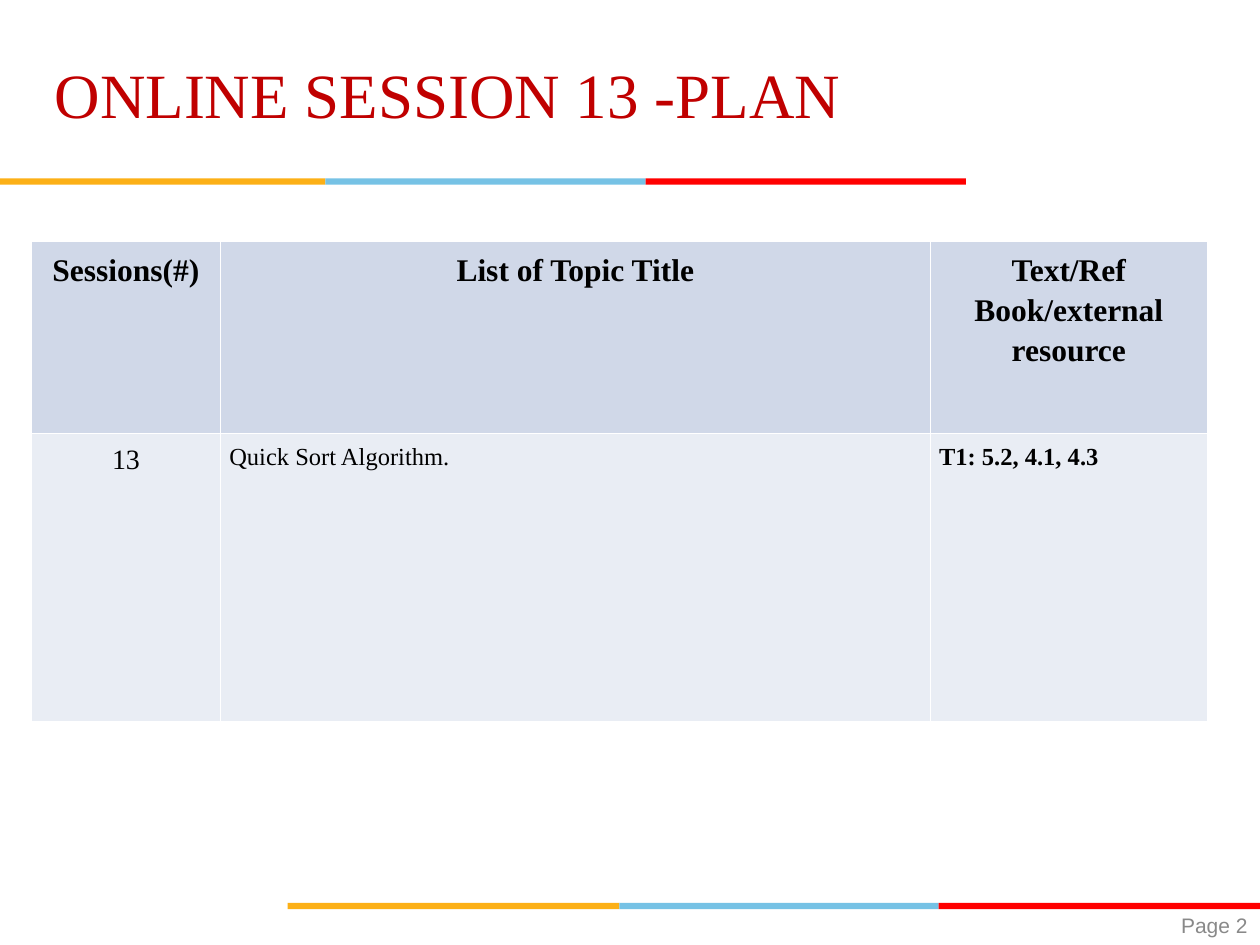
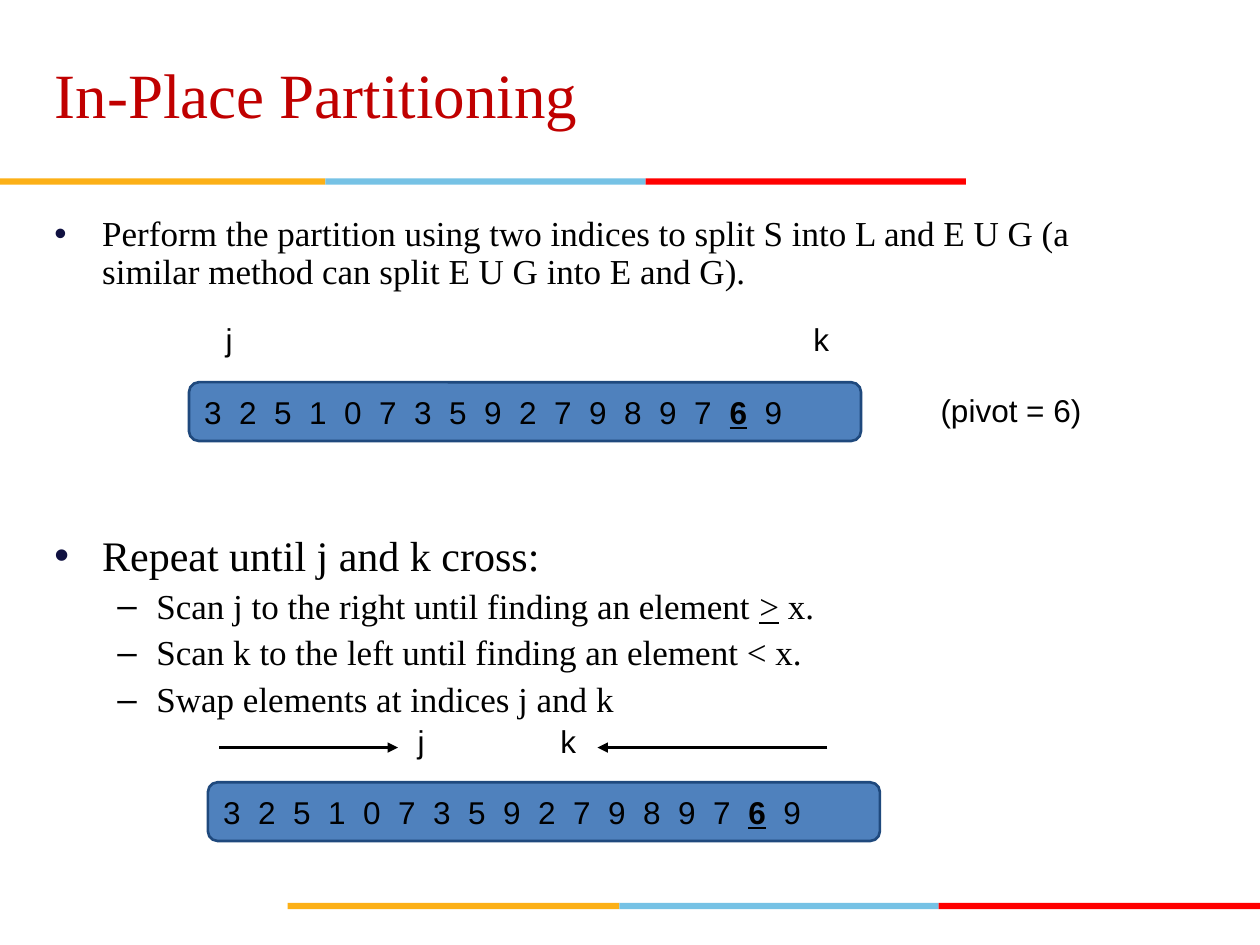
from lxml.etree import SubElement as add_element
from pptx import Presentation
from pptx.dml.color import RGBColor
from pptx.enum.shapes import MSO_CONNECTOR as Connector, MSO_SHAPE as Shape
from pptx.enum.text import MSO_ANCHOR as Anchor, MSO_AUTO_SIZE as AutoSize, PP_ALIGN as Align
from pptx.oxml.ns import qn
from pptx.util import Inches, Pt

# Shared style
SERIF, SANS = "Times New Roman", "Arial"
BLACK, WHITE, TITLE_RED, GREY = "000000", "FFFFFF", "C00000", "898989"
BAND_COLORS = ["FCB017", "76C2E5", "FF0000"]
HEADER_FILL, ROW_FILL = "D0D8E8", "E9EDF4"
ARRAY_FILL, ARRAY_LINE = "4F81BD", "1F497D"
BULLET_BLUE = "101141"
rgb = RGBColor.from_string

# The slide is a grid of 120 columns by 90 rows
deck = Presentation()
deck.slide_width, deck.slide_height = Inches(10), Inches(7.5)
UNIT = deck.slide_width / 120


def grid(*cells):
    return [round(cell * UNIT) for cell in cells]


def write(para, text, size, font=SANS, color=BLACK, bold=False, bold_marked=False):
    """Fill a paragraph; text between underscores is underlined."""
    for index, part in enumerate(text.split("_")):
        marked = index % 2 == 1
        span = para.add_run()
        span.text = part
        span.font.size, span.font.name = Pt(size), font
        span.font.color.rgb = rgb(color)
        span.font.bold = bold or (marked and bold_marked)
        span.font.underline = marked


# Titles and coloured bands on both slides
BANDS = [(17, [0, 31, 61.5, 92]), (86, [27.4, 59, 89.4, 120])]
pages = []
for heading in ["ONLINE SESSION 13 -PLAN", "In-Place Partitioning"]:
    page = deck.slides.add_slide(deck.slide_layouts[5])
    pages.append(page)
    for row, edges in BANDS:
        for left, right, color in zip(edges, edges[1:], BAND_COLORS):
            band = page.shapes.add_shape(
                Shape.RECTANGLE, *grid(left, row, right - left, 0.6))
            band.shadow.inherit = False
            band.fill.solid()
            band.fill.fore_color.rgb = rgb(color)
            band.line.fill.background()
    title = page.shapes.title
    title.left, title.top, title.width, title.height = grid(4, 2, 83, 15)
    frame = title.text_frame
    frame.auto_size, frame.word_wrap = AutoSize.NONE, True
    frame.vertical_anchor = Anchor.MIDDLE
    para = frame.paragraphs[0]
    para.alignment, para.line_spacing = Align.LEFT, Pt(36)
    write(para, heading, 36, SERIF, TITLE_RED)

plan_page, partition_page = pages

# Session plan table: text, size, bold, alignment
PLAN = [
    [("Sessions(#)", 18, True, Align.CENTER),
     ("List of Topic Title", 18, True, Align.CENTER),
     ("Text/Ref Book/external resource", 18, True, Align.CENTER)],
    [("13", 16, False, Align.CENTER),
     ("Quick Sort Algorithm.", 14, False, Align.LEFT),
     ("T1: 5.2, 4.1, 4.3", 14, True, Align.LEFT)],
]
COLUMN_WIDTHS, ROW_HEIGHTS = [18, 67.6, 26.4], [18.25, 27.5]
table = plan_page.shapes.add_table(
    2, 3, *grid(3, 23, sum(COLUMN_WIDTHS), sum(ROW_HEIGHTS))).table
table.first_row = table.horz_banding = False
for column, width in zip(table.columns, grid(*COLUMN_WIDTHS)):
    column.width = width
for row, height in zip(table.rows, grid(*ROW_HEIGHTS)):
    row.height = height

for row, entries, fill in zip(table.rows, PLAN, [HEADER_FILL, ROW_FILL]):
    for cell, (text, size, bold, alignment) in zip(row.cells, entries):
        cell.margin_left = cell.margin_right = Inches(0.07)
        para = cell.text_frame.paragraphs[0]
        para.alignment, para.line_spacing = alignment, 1.15
        write(para, text, size, SERIF, bold=bold)
        # Borders come before the fill in the cell's XML
        properties = cell._tc.get_or_add_tcPr()
        for side in ["a:lnL", "a:lnR", "a:lnT", "a:lnB"]:
            border = add_element(properties, qn(side), w=str(Pt(0.45)))
            solid = add_element(border, qn("a:solidFill"))
            add_element(solid, qn("a:srgbClr"), val=WHITE)
        cell.fill.solid()
        cell.fill.fore_color.rgb = rgb(fill)

# Page number
box = plan_page.shapes.add_textbox(*grid(92, 86.2, 28, 3.8))
box.text_frame.word_wrap = True
box.text_frame.vertical_anchor = Anchor.MIDDLE
para = box.text_frame.paragraphs[0]
para.alignment = Align.RIGHT
write(para, "Page 2", 12, color=GREY)

# Partitioning steps: text, level, size, space before
STEPS = [
    ("Perform the partition using two indices to split S into L and E U G "
     "(a similar method can split E U G into E and G).", 0, 20, 5),
    ("Repeat until j and k cross:", 0, 24, 139),
    ("Scan j to the right until finding an element _>_ x.", 1, 20, 5),
    ("Scan k to the left until finding an element < x.", 1, 20, 5),
    ("Swap elements at indices j and k", 1, 20, 5),
]
BULLETS = [("•", BULLET_BLUE, 0.38, 0.38), ("–", BLACK, 0.81, 0.31)]
box = partition_page.shapes.add_textbox(*grid(4, 20, 108, 59.4))
frame = box.text_frame
frame.word_wrap = True
for index, (text, level, size, space) in enumerate(STEPS):
    para = frame.add_paragraph() if index else frame.paragraphs[0]
    para.level, para.line_spacing, para.space_before = level, 0.9, Pt(space)
    write(para, text, size, SERIF)
    mark, color, margin, hanging = BULLETS[level]
    properties = para._p.get_or_add_pPr()
    properties.set("marL", str(Inches(margin)))
    properties.set("indent", str(-Inches(hanging)))
    bullet_color = add_element(properties, qn("a:buClr"))
    add_element(bullet_color, qn("a:srgbClr"), val=color)
    add_element(properties, qn("a:buFont"), typeface=SANS)
    add_element(properties, qn("a:buChar"), char=mark)

# The array before and during the scan
ARRAY = "  ".join("3 2 5 1 0 7 3 5 9 2 7 9 8 9 7 _6_ 9".split())
for left, top in [(18, 36.4), (19.8, 74.5)]:
    array = partition_page.shapes.add_shape(
        Shape.ROUNDED_RECTANGLE, *grid(left, top, 64, 5.6))
    array.adjustments[0] = 0.167
    array.shadow.inherit = False
    array.fill.solid()
    array.fill.fore_color.rgb = rgb(ARRAY_FILL)
    array.line.color.rgb = rgb(ARRAY_LINE)
    array.line.width = Pt(1.5)
    array.text_frame.vertical_anchor = Anchor.MIDDLE
    para = array.text_frame.paragraphs[0]
    para.alignment = Align.LEFT
    write(para, ARRAY, 18, bold_marked=True)

# Index and pivot labels
LABELS = [
    ("j", 20.3, 29.9, 3), ("k", 76.3, 29.9, 3.8), ("(pivot = 6)", 88.4, 36.6, 15.8),
    ("j", 38.6, 68.2, 3), ("k", 52.2, 68.2, 3.8),
]
for text, left, top, width in LABELS:
    label = partition_page.shapes.add_textbox(*grid(left, top, width, 4.8))
    label.text_frame.word_wrap = False
    label.text_frame.vertical_anchor = Anchor.MIDDLE
    write(label.text_frame.paragraphs[0], text, 18)

# Scan arrows
for start, end in [(20.9, 37.9), (78.8, 56.9)]:
    arrow = partition_page.shapes.add_connector(
        Connector.STRAIGHT, *grid(start, 71.2, end, 71.2))
    arrow.line.color.rgb = rgb(BLACK)
    arrow.line.width = Pt(1.5)
    add_element(arrow.line._get_or_add_ln(), qn("a:tailEnd"), type="triangle")
    add_element(arrow._element.spPr, qn("a:effectLst"))

deck.save("out.pptx")
